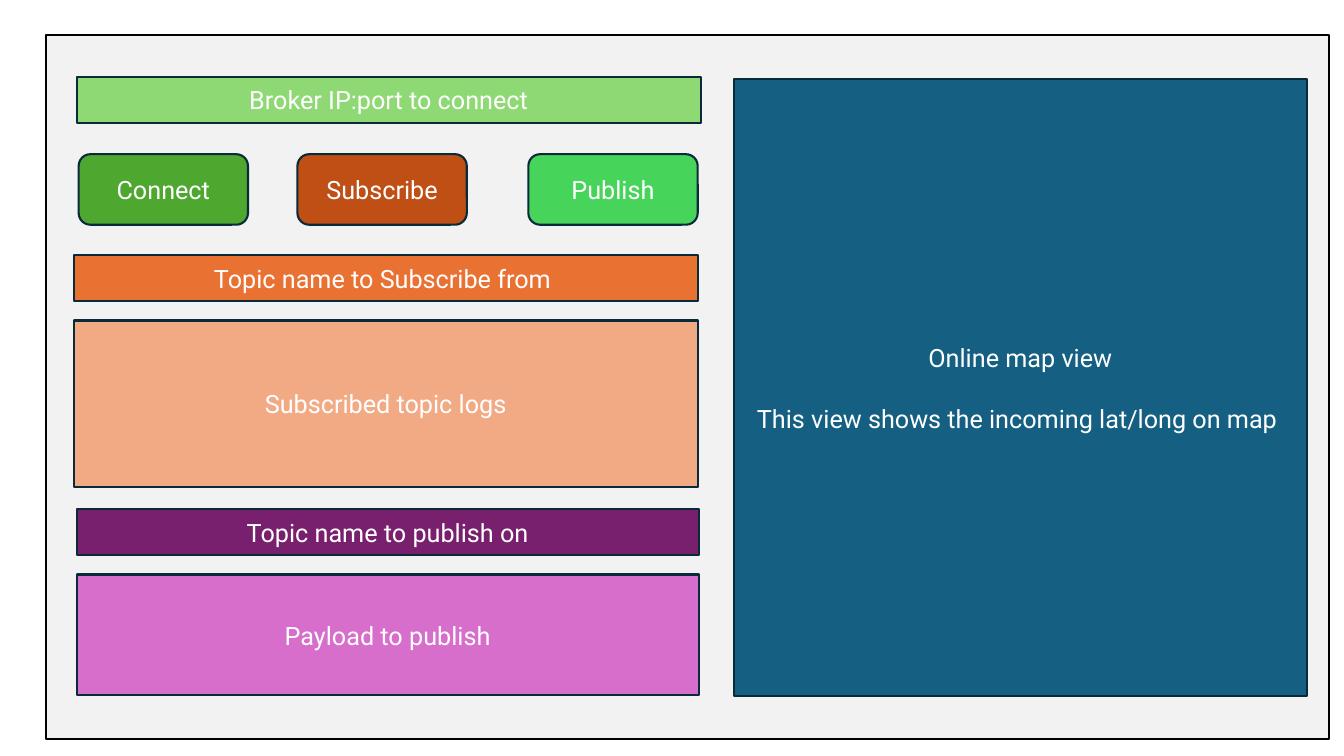
from pptx import Presentation
from pptx.dml.color import RGBColor
from pptx.enum.shapes import MSO_SHAPE
from pptx.enum.text import MSO_ANCHOR, PP_ALIGN
from pptx.util import Inches, Pt

COLORS = {
    "panel": "F2F2F2", "panel line": "000000", "line": "092A39", "text": "FFFFFF",
    "map": "156082", "broker": "8ED973",
    "connect": "4EA72E", "subscribe": "C04F15", "publish": "47D45A",
    "subscribe topic": "E97132", "logs": "F2AA84",
    "publish topic": "78206E", "payload": "D86ECC",
}

# Columns are (left, width) and rows are (top, height), in inches.
BUTTON_WIDTH = 1.68
BAR_HEIGHT = 0.46
COLUMNS = {
    "window": (0.46, 12.72), "map": (7.28, 5.68),
    "broker": (0.76, 6.19), "subscribe": (0.73, 6.19), "publish": (0.76, 6.17),
    "button 1": (0.78, BUTTON_WIDTH),
    "button 2": (2.95, BUTTON_WIDTH),
    "button 3": (5.24, BUTTON_WIDTH),
}
ROWS = {
    "window": (0.35, 6.98), "map": (0.78, 6.13),
    "broker": (0.76, BAR_HEIGHT), "buttons": (1.53, 0.7),
    "subscribe topic": (2.53, BAR_HEIGHT), "logs": (3.18, 1.65),
    "publish topic": (5.05, BAR_HEIGHT), "payload": (5.7, 1.2),
}

# Color, column, row, paragraphs
FIELDS = [
    ("map", "map", "map",
     ["Online map view", "This view shows the incoming lat/long on map "]),
    ("subscribe topic", "subscribe", "subscribe topic", ["Topic name to Subscribe from "]),
    ("logs", "subscribe", "logs", ["Subscribed topic logs"]),
    ("publish topic", "publish", "publish topic", ["Topic name to publish on"]),
    ("payload", "publish", "payload", ["Payload to publish"]),
    ("broker", "broker", "broker", ["Broker IP:port to connect"]),
]
BUTTONS = ["Connect", "Subscribe", "Publish"]

FONT = "Roboto"
TEXT_SIZE = Pt(18)
PARAGRAPH_GAP = Pt(22)


def color(name):
    return RGBColor.from_string(COLORS[name])


def add_box(slide, fill, column, row, paragraphs=(), preset=MSO_SHAPE.RECTANGLE, line="line"):
    left, width = COLUMNS[column]
    top, height = ROWS[row]
    shape = slide.shapes.add_shape(
        preset, Inches(left), Inches(top), Inches(width), Inches(height))
    shape.shadow.inherit = False
    shape.fill.solid()
    shape.fill.fore_color.rgb = color(fill)
    shape.line.color.rgb = color(line)
    shape.line.width = Pt(1.5)
    frame = shape.text_frame
    frame.word_wrap = True
    frame.vertical_anchor = MSO_ANCHOR.MIDDLE
    for index, text in enumerate(paragraphs):
        paragraph = frame.add_paragraph() if index else frame.paragraphs[0]
        paragraph.alignment = PP_ALIGN.CENTER
        if index:
            paragraph.space_before = PARAGRAPH_GAP
        run = paragraph.add_run()
        run.text = text
        run.font.name = FONT
        run.font.size = TEXT_SIZE
        run.font.color.rgb = color("text")


def main():
    presentation = Presentation()
    presentation.slide_width = Inches(13.33)
    presentation.slide_height = Inches(7.5)
    slide = presentation.slides.add_slide(presentation.slide_layouts[6])

    add_box(slide, "panel", "window", "window", line="panel line")
    for fill, column, row, paragraphs in FIELDS:
        add_box(slide, fill, column, row, paragraphs)
    for number, label in enumerate(BUTTONS, start=1):
        add_box(slide, label.lower(), f"button {number}", "buttons", [label],
                MSO_SHAPE.ROUNDED_RECTANGLE)

    presentation.save("out.pptx")


if __name__ == "__main__":
    main()
